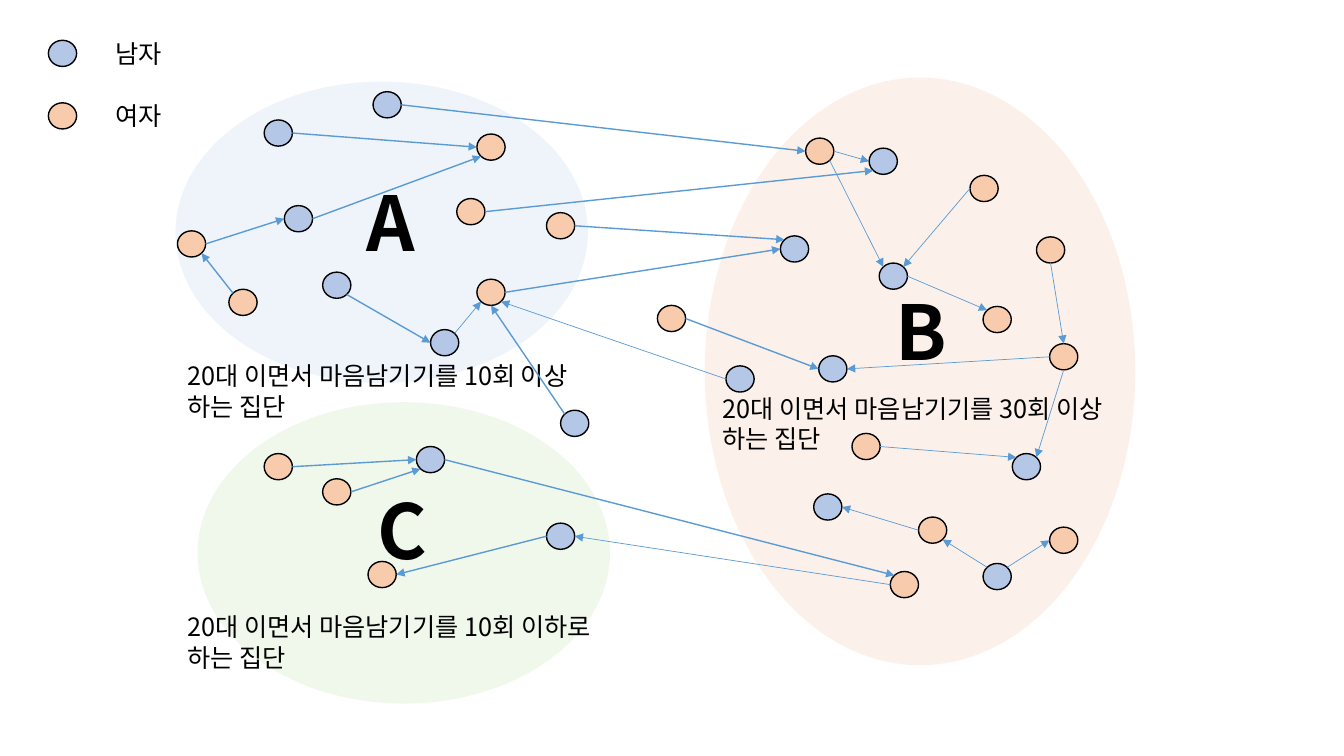
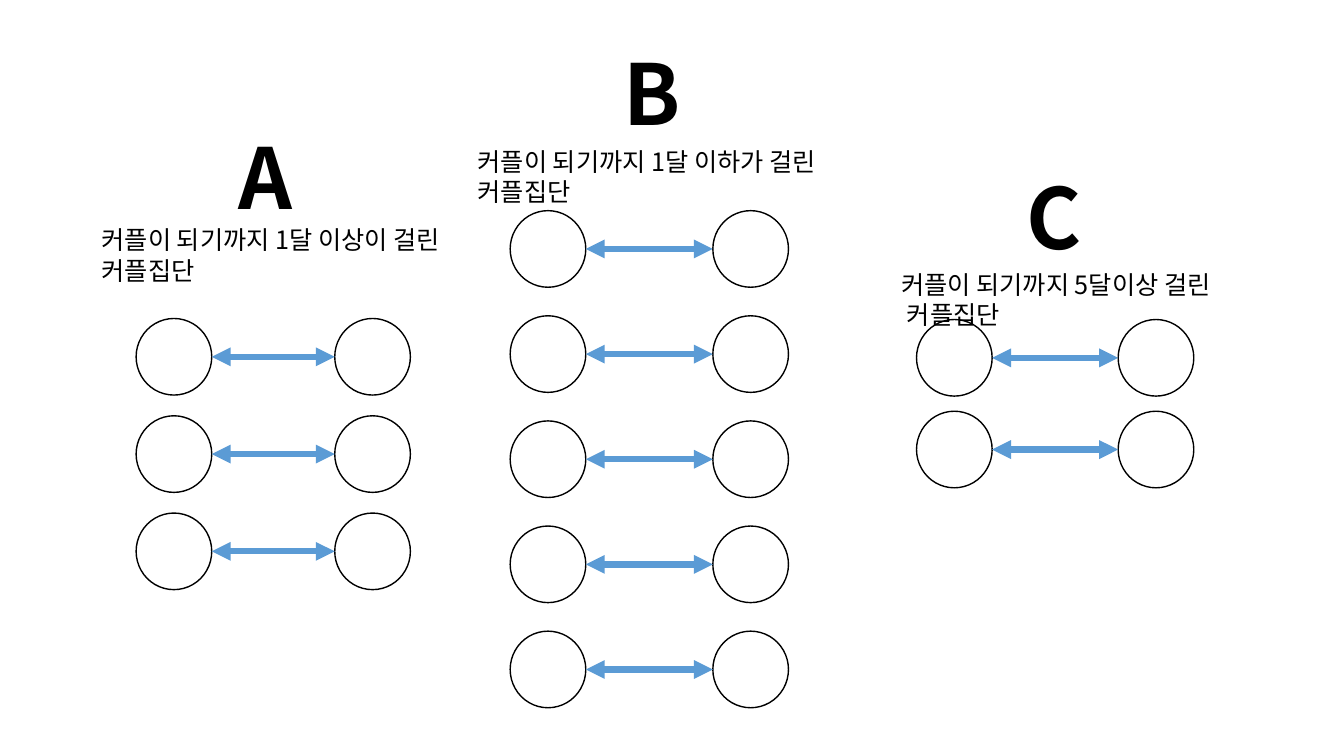
from dataclasses import dataclass
from math import cos, pi, sin

from lxml.etree import SubElement
from pptx import Presentation
from pptx.dml.color import RGBColor
from pptx.enum.shapes import MSO_CONNECTOR, MSO_SHAPE
from pptx.enum.text import MSO_AUTO_SIZE
from pptx.oxml.ns import qn
from pptx.util import Inches, Pt


@dataclass(frozen=True)
class Theme:
    """Colours, type and line weights shared by both slides."""
    font: str = "Noto Sans CJK KR"
    ink: str = "000000"
    paper: str = "FFFFFF"
    arrow: str = "5B9BD5"
    man: str = "B4C7E7"
    woman: str = "F8CBAD"
    zone_a: str = "DEEBF7"
    zone_b: str = "FBE5D6"
    zone_c: str = "E2F0D9"
    body: int = 18
    zone_letter: int = 54
    couple_letter: int = 60
    outline: float = 1
    thin: float = 0.5
    bold: float = 1
    heavy: float = 4.5


theme = Theme()
deck = Presentation()
deck.slide_width, deck.slide_height = Inches(13.33), Inches(7.5)
CELL = deck.slide_height / 75  # grid of 75 rows of square cells
SITES = ["T", "TL", "L", "BL", "B", "BR", "R", "TR"]  # counter-clockwise from the top


def add_oval(canvas, left, top, width, height, color, opacity=None):
    """Draw an oval on the grid: outlined, or borderless when it has an opacity."""
    oval = canvas.add_shape(MSO_SHAPE.OVAL, *(round(n * CELL) for n in (left, top, width, height)))
    oval.shadow.inherit = False
    oval.fill.solid()
    oval.fill.fore_color.rgb = RGBColor.from_string(color)
    if opacity:
        tint = oval.element.spPr.find(qn("a:solidFill"))[0]
        SubElement(tint, qn("a:alpha"), val=str(opacity * 1000))
        oval.line.fill.background()
    else:
        oval.line.color.rgb = RGBColor.from_string(theme.ink)
        oval.line.width = Pt(theme.outline)
    return oval


def add_arrow(canvas, start, start_site, end, end_site, weight, heads=("tailEnd",)):
    """Join two ovals with an arrow glued to the named connection sites."""
    ends, points = [(start, start_site, "stCxn"), (end, end_site, "endCxn")], []
    for oval, site, _ in ends:
        angle = pi / 2 + SITES.index(site) * pi / 4
        points += [round(oval.left + oval.width * (1 + cos(angle)) / 2),
                   round(oval.top + oval.height * (1 - sin(angle)) / 2)]
    arrow = canvas.add_connector(MSO_CONNECTOR.STRAIGHT, *points)
    arrow.line.color.rgb = RGBColor.from_string(theme.arrow)
    arrow.line.width = Pt(weight)
    for head in heads:
        SubElement(arrow.element.spPr.find(qn("a:ln")), qn(f"a:{head}"), type="triangle")
    SubElement(arrow.element.spPr, qn("a:effectLst"))
    glue = arrow.element.find(".//" + qn("p:cNvCxnSpPr"))
    for oval, site, tag in ends:
        SubElement(glue, qn(f"a:{tag}"), id=str(oval.shape_id), idx=str(SITES.index(site)))


network, couples = (deck.slides.add_slide(deck.slide_layouts[6]).shapes for _ in range(2))

# Network: zones, people and legend
for zone in [
    (19.6, 39.9, 40.9, 29.9, theme.zone_c),
    (69.9, 7.7, 42.7, 58.3, theme.zone_b),
    (17.4, 8.1, 40.9, 29.9, theme.zone_a),
]:
    add_oval(network, *zone, opacity=50)

PERSON_W, PERSON_H = 2.8, 2.6
men = {
    "a1": (37, 9.1), "a2": (28.2, 20.4), "a3": (32, 27), "a4": (42.7, 32.7), "a5": (26.2, 11.9),
    "b1": (77.4, 23.4), "b2": (86.2, 14.7), "b3": (72, 36.3), "b4": (81.2, 35.3),
    "b5": (100.4, 45), "b6": (97.5, 55.9), "b7": (87.2, 26.1), "b8": (80.7, 49),
    "c1": (41.3, 44.3), "c2": (54.2, 51.9), "outer_man": (55.6, 40.7), "legend_man": (4.8, 4),
}
women = {
    "a6": (45.3, 19.7), "a7": (47.3, 13.3), "a8": (22.7, 28.7), "a9": (54.2, 21.1),
    "a10": (47.3, 27.7), "a11": (17.6, 22.9),
    "b9": (97.5, 30.4), "b10": (102.8, 23.5), "b11": (104.1, 34.1), "b12": (84.5, 43),
    "b13": (88.3, 56.7), "b14": (91.1, 51.3), "b15": (79.9, 13.7), "b16": (104.1, 52.3),
    "b17": (96.2, 17.4),
    "c3": (26.2, 45), "c4": (36.5, 55.7), "c5": (32, 47.5),
    "outer_woman": (65.2, 30.3), "legend_woman": (4.8, 10.2),
}
people = {
    name: add_oval(network, *corner, PERSON_W, PERSON_H, color)
    for members, color in ((men, theme.man), (women, theme.woman))
    for name, corner in members.items()
}

# Couples: left column, right column, first row, row pitch, number of couples
CIRCLE_W, CIRCLE_H = 7.5, 7.6
group_a, group_b, group_c = (couples.add_group_shape().shapes for _ in range(3))
pairs = []
for group, left, right, first, pitch, count in [
    (group_a, 13.5, 33.2, 31.6, 9.65, 3),
    (group_b, 50.6, 70.7, 20.9, 10.43, 5),
    (group_c, 90.9, 110.9, 31.7, 9.1, 2),
]:
    for row in range(count):
        pairs.append((group, *(
            add_oval(group, column, first + row * pitch, CIRCLE_W, CIRCLE_H, theme.paper)
            for column in (left, right)
        )))

# Wording of both slides: left, top, width, height, style, text
body = {"name": theme.font, "size": Pt(theme.body), "bold": False}
zone_letter = {**body, "size": Pt(theme.zone_letter), "bold": True}
couple_letter = {**zone_letter, "size": Pt(theme.couple_letter)}
for canvas, left, top, width, height, style, wording in [
    (network, 10.5, 3.3, 8.2, 4, body, "남자"),
    (network, 10.5, 9.5, 8.2, 4, body, "여자"),
    (network, 17.6, 35.3, 43.3, 7.1, body, "20대 이면서 마음남기기를 10회 이상 하는 집단"),
    (network, 17.6, 60.2, 42.9, 7.1, body, "20대 이면서 마음남기기를 10회 이하로 하는 집단"),
    (network, 70.7, 38.5, 43.6, 7.1, body, "20대 이면서 마음남기기를 30회 이상 하는 집단"),
    (network, 35.4, 17, 6.9, 10.1, zone_letter, "A"),
    (network, 87.8, 27.8, 5.6, 10.1, zone_letter, "B"),
    (network, 36.5, 47.5, 5.8, 10.1, zone_letter, "C"),
    (group_a, 22.7, 12, 8.2, 11.1, couple_letter, "A"),
    (group_a, 9.1, 21.8, 41.8, 7.1, body, "커플이 되기까지 1달 이상이 걸린 커플집단"),
    (group_b, 60.9, 3.6, 6.3, 11.1, couple_letter, "B"),
    (group_b, 46.4, 14, 41.8, 7.1, body, "커플이 되기까지 1달 이하가 걸린 커플집단"),
    (group_c, 100.8, 15.9, 6.7, 11.1, couple_letter, "C"),
    (group_c, 88.4, 26.2, 41.8, 7.1, body, "커플이 되기까지 5달이상 걸린\n 커플집단"),
]:
    frame = canvas.add_textbox(*(round(n * CELL) for n in (left, top, width, height))).text_frame
    frame.word_wrap = True
    frame.auto_size = MSO_AUTO_SIZE.SHAPE_TO_FIT_TEXT
    frame.text = wording
    for paragraph in frame.paragraphs:
        for run in paragraph.runs:
            for attribute, value in style.items():
                setattr(run.font, attribute, value)
            run.font.color.rgb = RGBColor.from_string(theme.ink)
            SubElement(run.font._element, qn("a:ea"), typeface=theme.font)

# Arrows: giver, its site, receiver, its site
for weight, messages in {
    theme.bold: [
        "a9 R b1 TL", "outer_woman R b4 L", "a5 R a7 L", "a2 R a7 BL", "a6 R b2 BL",
        "a1 R b15 L", "outer_man TL a10 B", "a3 BR a4 L", "a11 R a2 L", "a8 TL a11 BR",
        "c3 R c1 L", "c5 R c1 BL", "c2 L c4 R", "a10 R b1 L", "c1 R b13 TL",
    ],
    theme.thin: [
        "b13 L c2 R", "b14 L b8 R", "b12 R b5 TL", "b6 TR b16 L", "b7 R b9 TL",
        "b17 L b7 TR", "b15 R b2 L", "b10 B b11 T", "b11 B b5 TR", "a4 TR a10 BL",
        "b15 BR b7 TL", "b11 L b4 R", "b3 L a10 BR", "b6 TL b14 BR",
    ],
}.items():
    for message in messages:
        giver, giver_site, receiver, receiver_site = message.split()
        add_arrow(network, people[giver], giver_site, people[receiver], receiver_site, weight)

for group, left_partner, right_partner in pairs:
    add_arrow(group, left_partner, "R", right_partner, "L", theme.heavy, ("headEnd", "tailEnd"))

deck.save("out.pptx")
